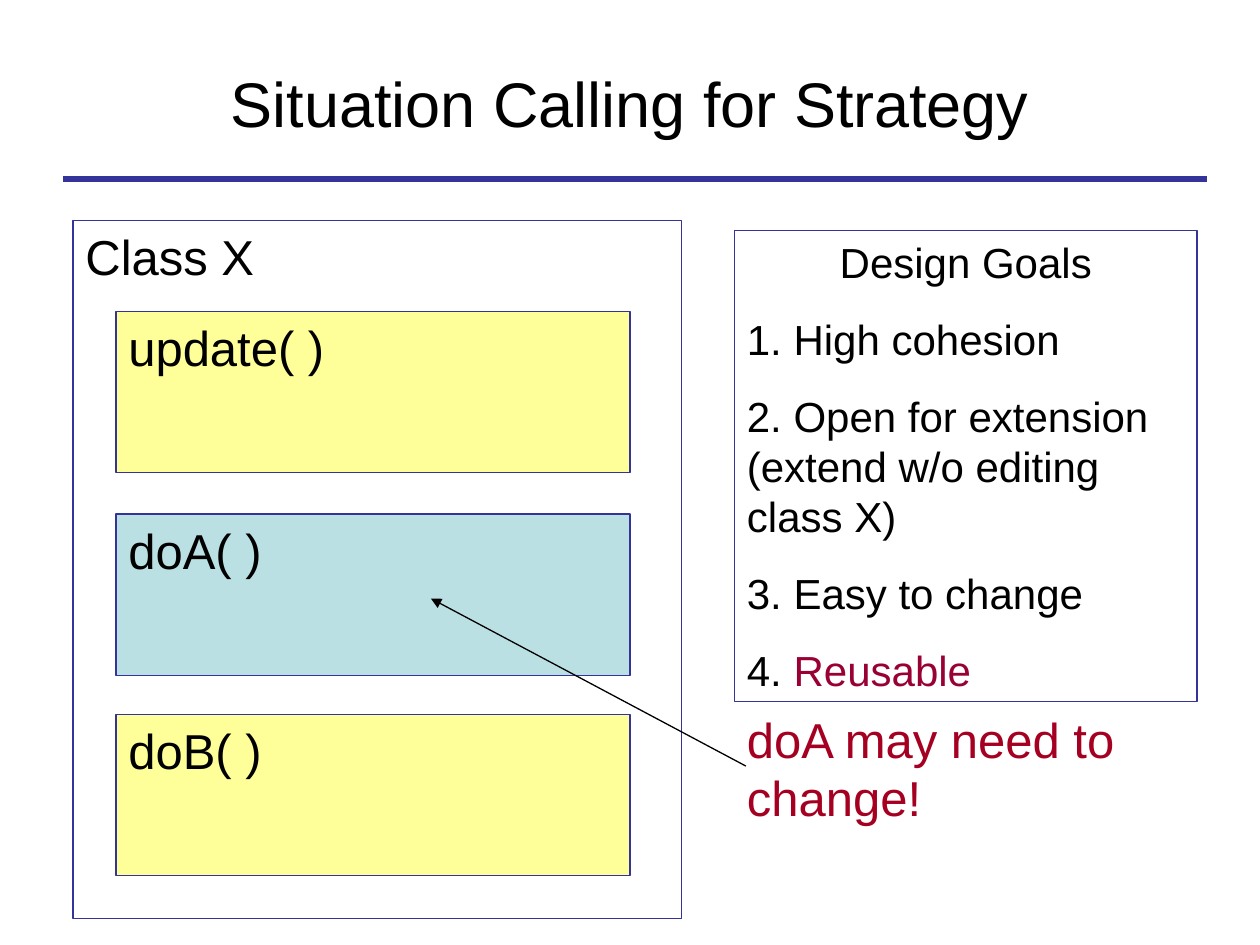
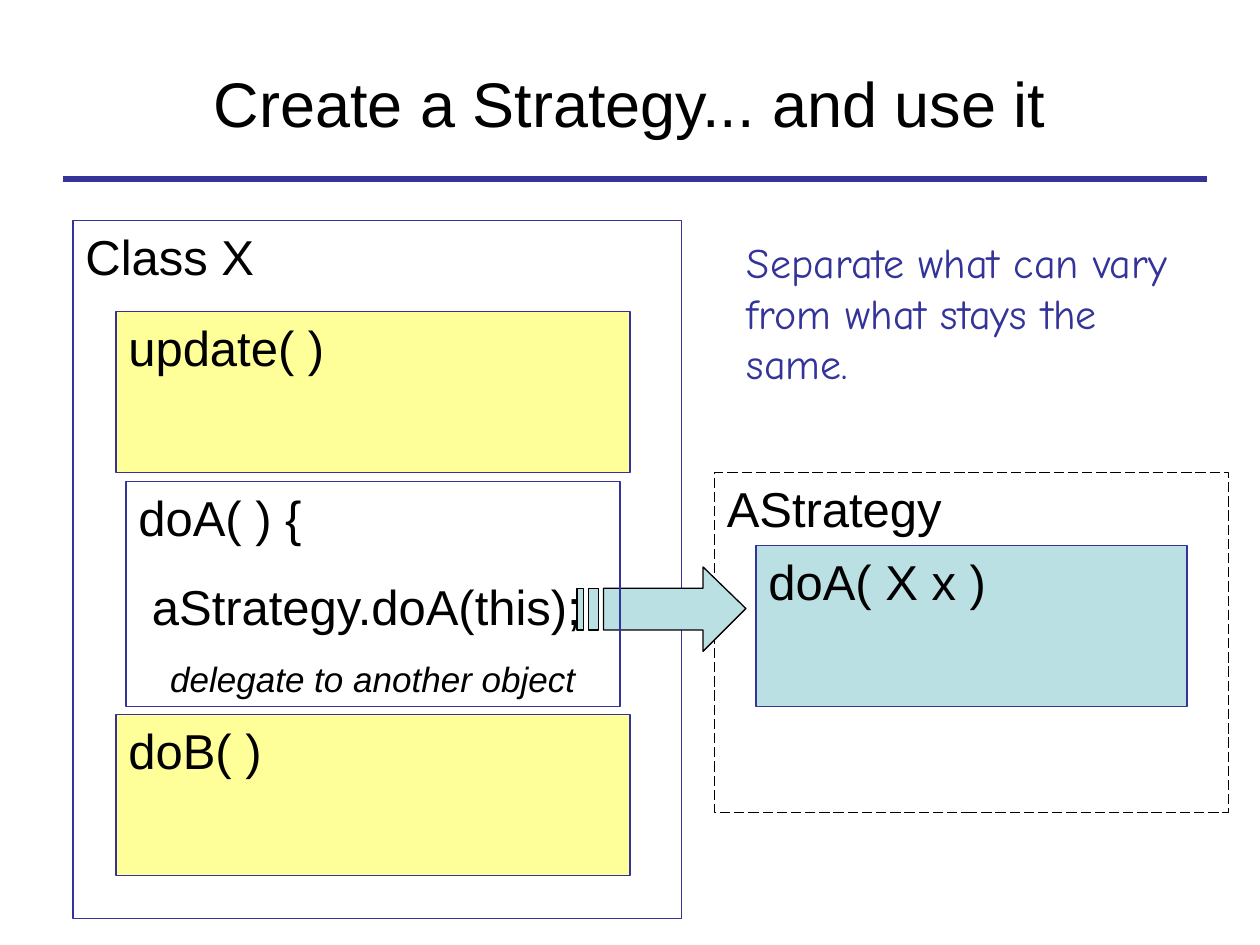
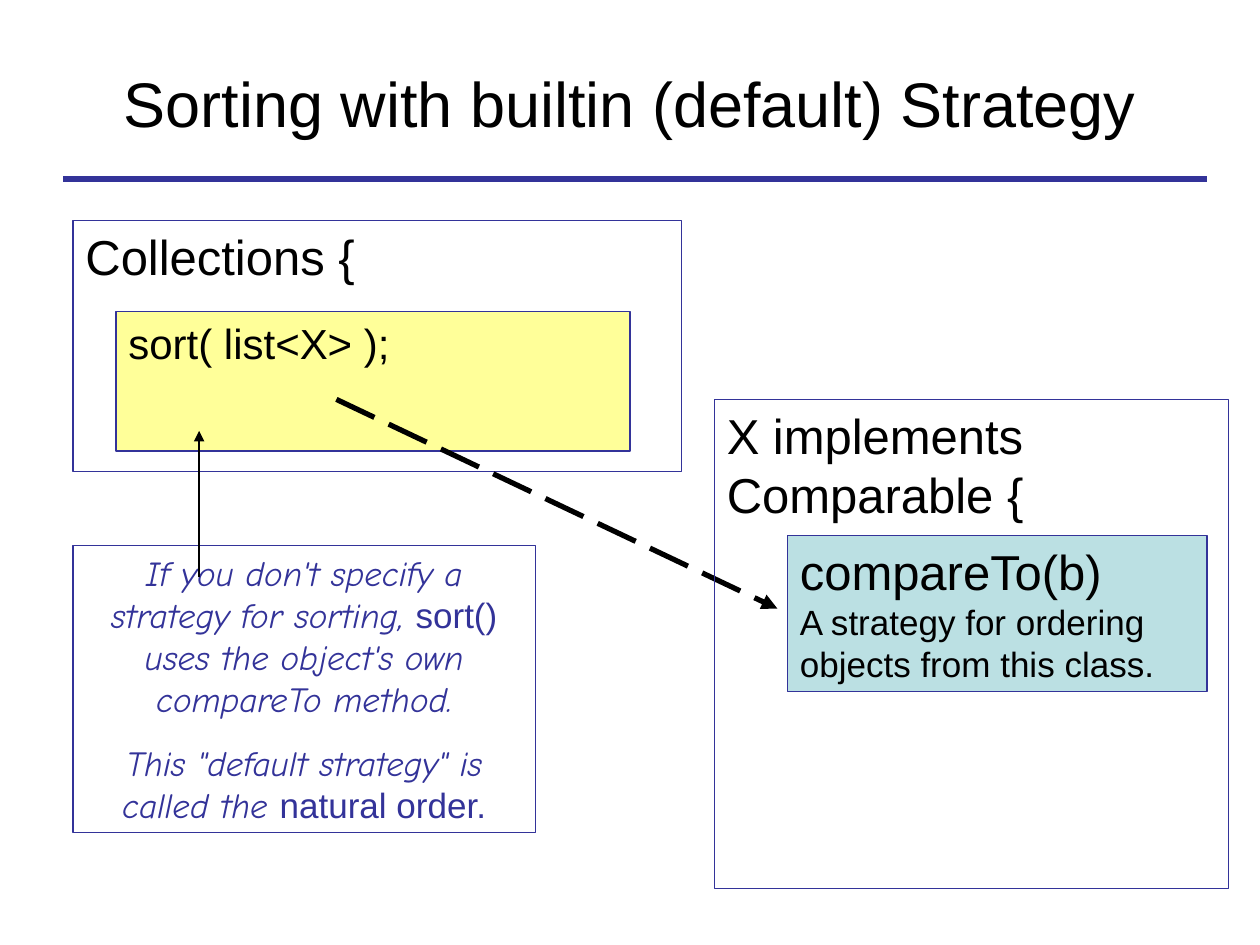
from lxml import etree
from pptx import Presentation
from pptx.dml.color import RGBColor
from pptx.enum.dml import MSO_LINE
from pptx.enum.shapes import MSO_CONNECTOR, MSO_SHAPE
from pptx.enum.text import MSO_ANCHOR, PP_ALIGN
from pptx.oxml.ns import qn
from pptx.util import Inches, Pt

RECTANGLE = MSO_SHAPE.RECTANGLE
STRAIGHT = MSO_CONNECTOR.STRAIGHT
LONG_DASH = MSO_LINE.LONG_DASH
TOP, MIDDLE = MSO_ANCHOR.TOP, MSO_ANCHOR.MIDDLE
LEFT, CENTER = PP_ALIGN.LEFT, PP_ALIGN.CENTER

BLACK, NAVY = "000000", "333399"
YELLOW, TEAL = "FFFF99", "BBE0E3"
MAROON, RED = "990033", "A50021"
SANS, COMIC = "Arial", "Comic Neue"
LINE_PITCH = 1.2      # line height, as a multiple of the text size
SPACE_BEFORE = 0.625  # paragraph gap, as a multiple of the text size


def color(value):
    return RGBColor.from_string(value)


def para(*spans, size=28, align=LEFT, gap=SPACE_BEFORE, **font):
    """A paragraph; each span is a text or a (text, font values) pair."""
    spans = [span if isinstance(span, tuple) else (span, {}) for span in spans]
    return {"spans": spans, "size": size, "align": align, "gap": gap, "font": font}


class Slides:
    def __init__(self):
        self.deck = Presentation()
        self.deck.slide_width, self.deck.slide_height = Inches(10), Inches(7.5)
        self.page = None

    def new_page(self, title):
        self.page = self.deck.slides.add_slide(self.deck.slide_layouts[6])
        self.line((0.5, 1.42), (9.58, 1.42), NAVY, 3)
        self.text((0.5, 0.3, 9, 1.03), [para(title, size=36, align=CENTER)], MIDDLE)

    def style(self, shape, fill, outline, dash=None):
        shape.shadow.inherit = False
        if fill:
            shape.fill.solid()
            shape.fill.fore_color.rgb = color(fill)
        else:
            shape.fill.background()
        shape.line.color.rgb = color(outline)
        shape.line.width = Pt(0.75)
        if dash:
            shape.line.dash_style = dash

    def set_text(self, shape, paras, anchor=TOP):
        frame = shape.text_frame
        frame.word_wrap = True
        frame.vertical_anchor = anchor
        for index, item in enumerate(paras):
            paragraph = frame.add_paragraph() if index else frame.paragraphs[0]
            size = item["size"]
            layout = {
                "alignment": item["align"],
                "line_spacing": Pt(size * LINE_PITCH),
                "space_before": Pt(size * item["gap"] if index else 0),
            }
            for name, value in layout.items():
                setattr(paragraph, name, value)
            for text, changes in item["spans"]:
                span = paragraph.add_run()
                span.text = text
                values = {"name": SANS, "size": Pt(size), "italic": False,
                          "color": BLACK, **item["font"], **changes}
                span.font.color.rgb = color(values.pop("color"))
                for name, value in values.items():
                    setattr(span.font, name, value)

    def text(self, at, paras, anchor=TOP):
        box = self.page.shapes.add_textbox(*map(Inches, at))
        self.set_text(box, paras, anchor)

    def box(self, at, paras, fill=None, outline=NAVY, dash=None):
        box = self.page.shapes.add_shape(RECTANGLE, *map(Inches, at))
        self.style(box, fill, outline, dash)
        self.set_text(box, paras)

    def line(self, start, end, stroke=BLACK, width=0.75, dash=None, arrow=False):
        line = self.page.shapes.add_connector(STRAIGHT, *map(Inches, start + end))
        line.line.color.rgb = color(stroke)
        line.line.width = Pt(width)
        if dash:
            line.line.dash_style = dash
        properties = line.element.find(qn("p:spPr"))
        if arrow:
            etree.SubElement(properties.find(qn("a:ln")), qn("a:tailEnd"), type="triangle")
        etree.SubElement(properties, qn("a:effectLst"))

    def outline(self, contours, fill):
        contours = [[tuple(map(Inches, point)) for point in contour] for contour in contours]
        builder = self.page.shapes.build_freeform(*contours[0][0], scale=1.0)
        for index, (first, *rest) in enumerate(contours):
            if index:
                builder.move_to(*first)
            builder.add_line_segments(rest, close=True)
        self.style(builder.convert_to_shape(), fill, BLACK)

    def method(self, top, name, fill=YELLOW, height=1.28, size=28):
        self.box((0.92, top, 4.08, height), [para(name, size=size)], fill)

    def class_frame(self, name, height=5.54):
        self.box((0.58, 1.75, 4.83, height), [para(name)])

    def class_x(self):
        self.class_frame("Class X")
        self.method(2.47, "update( )")
        self.method(5.67, "doB( )")


def situation(slides):
    slides.new_page("Situation Calling for Strategy")
    slides.class_x()
    slides.method(4.08, "doA( )", TEAL)
    # Goals and warning
    slides.box((5.83, 1.83, 3.67, 3.74), [
        para("Design Goals", size=24, align=CENTER),
        para("1. High cohesion", size=24),
        para("2. Open for extension (extend w/o editing class X)", size=24),
        para("3. Easy to change", size=24),
        para("4. ", ("Reusable", {"color": MAROON}), size=24),
    ])
    slides.text((5.83, 5.58, 3.58, 1.04), [para("doA may need to change!", color=RED)])
    slides.line((5.92, 6.08), (3.42, 4.75), arrow=True)


def delegation(slides):
    slides.new_page("Create a Strategy... and use it")
    # Strategy class
    slides.box((5.67, 3.75, 4.08, 2.7), [para("AStrategy")], outline=BLACK, dash=LONG_DASH)
    slides.class_x()
    slides.box((6, 4.33, 3.42, 1.28), [para("doA( X x )")], TEAL)
    slides.text((5.83, 1.83, 3.67, 1.3), [
        para("Separate what can vary from what stays the same.",
             size=24, name=COMIC, color=NAVY)])
    # Striped arrow
    top, bottom = 4.67, 5
    head = [(4.79, top), (5.58, top), (5.58, 4.5), (5.92, 4.83),
            (5.58, 5.17), (5.58, bottom), (4.79, bottom)]
    stripes = [[(left, top), (right, top), (right, bottom), (left, bottom)]
               for left, right in ((4.58, 4.63), (4.67, 4.75))]
    slides.outline([head, *stripes], TEAL)
    # Delegating method
    slides.box((1, 3.82, 3.92, 1.79), [
        para("doA( ) {"),
        para(" aStrategy.doA(this);"),
        para("delegate to another object", size=20, align=CENTER, italic=True),
    ])


def sorting(slides):
    slides.new_page("Sorting with builtin (default) Strategy")
    slides.class_frame("Collections {", 1.99)
    slides.method(2.47, "sort( list<X> );", height=1.11, size=24)
    slides.line((2.67, 3.17), (6.17, 4.83), width=3, dash=LONG_DASH, arrow=True)
    # Comparable class
    slides.box((5.67, 3.17, 4.08, 3.88), [para("X implements Comparable {")])
    slides.box((6.25, 4.25, 3.33, 1.24), [
        para("compareTo(b)"),
        para("A strategy for ordering objects from this class.", size=20, gap=0),
    ], TEAL)
    # Note on the default order
    note = {"size": 20, "align": CENTER, "name": COMIC, "color": NAVY, "italic": True}
    plain = {"name": SANS, "italic": False}
    slides.box((0.58, 4.33, 3.67, 2.28), [
        para("If you don't specify a strategy for sorting, ", ("sort()", plain),
             " uses the object's own compareTo method.", **note),
        para('This "default strategy" is called the ', ("natural order.", plain), **note),
    ])
    slides.line((1.58, 4.58), (1.58, 3.42), arrow=True)


def main():
    slides = Slides()
    for build in (situation, delegation, sorting):
        build(slides)
    slides.deck.save("out.pptx")


if __name__ == "__main__":
    main()
